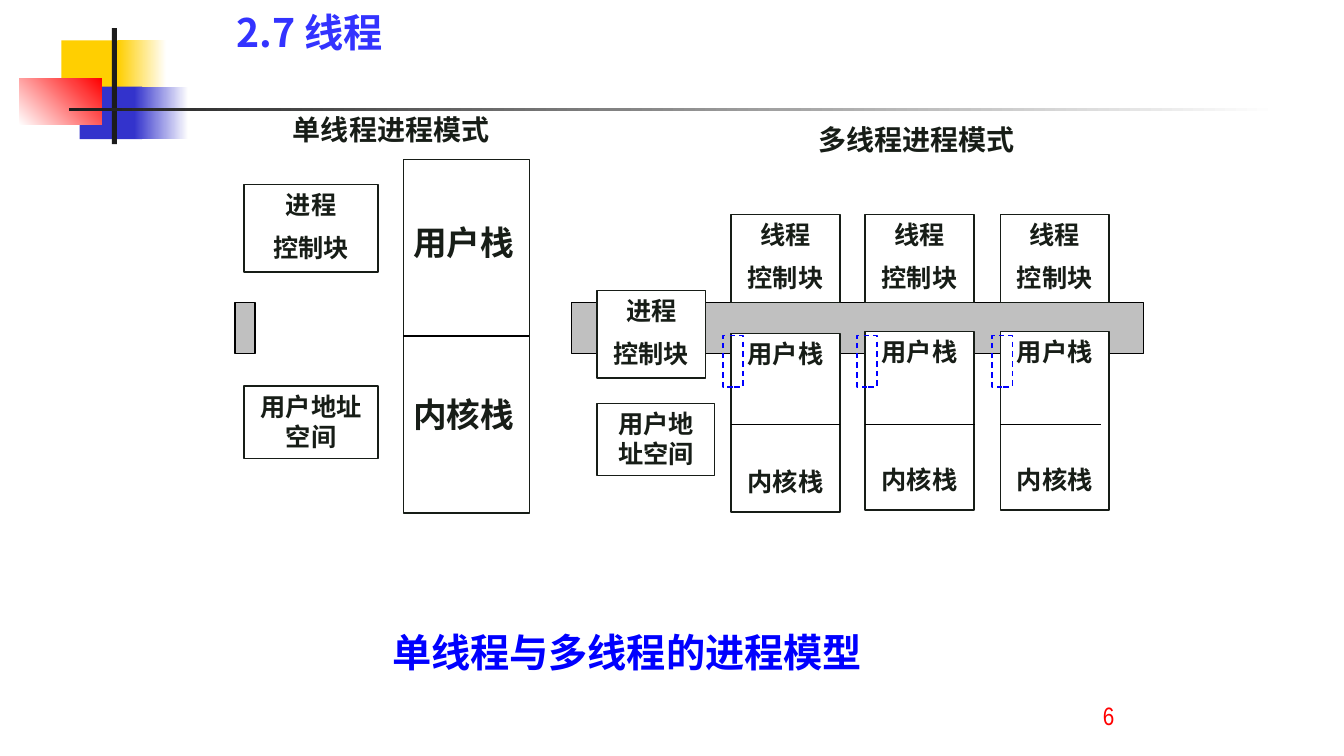
from pptx import Presentation
from pptx.dml.color import RGBColor
from pptx.enum.dml import MSO_LINE
from pptx.enum.shapes import MSO_CONNECTOR as CONNECTOR, MSO_SHAPE as SHAPE
from pptx.enum.text import MSO_ANCHOR as ANCHOR, PP_ALIGN as ALIGN
from pptx.oxml.ns import qn
from pptx.util import Inches, Pt

WHITE = RGBColor(0xFF, 0xFF, 0xFF)
BLACK = RGBColor(0x00, 0x00, 0x00)
INK = RGBColor(0x17, 0x1D, 0x17)
CHARCOAL = RGBColor(0x1C, 0x1C, 0x1C)
GRAY = RGBColor(0xC0, 0xC0, 0xC0)
YELLOW = RGBColor(0xFF, 0xCF, 0x01)
INDIGO = RGBColor(0x33, 0x33, 0xCC)
RED = RGBColor(0xFF, 0x00, 0x00)
BLUE = RGBColor(0x00, 0x00, 0xFF)
TITLE_BLUE = RGBColor(0x33, 0x33, 0xFF)

BODY_FONT = "Arial Narrow"
HEADING_FONT = "Noto Sans CJK SC"
THREAD_LEFTS = (7.25, 8.58, 9.92)
STACK_TOPS = (3.31, 3.29, 3.29)
DIVIDER_ENDS = (8.33, 9.67, 10.92)


def write_text(shape, text, size=18, font=BODY_FONT, color=INK, bold=True,
               align=ALIGN.CENTER, anchor=ANCHOR.TOP, gap=9, inset=0.05, wrap=True):
    """Fill a shape with one paragraph per line of text."""
    frame = shape.text_frame
    frame.word_wrap = wrap
    frame.vertical_anchor = anchor
    frame.margin_top = Inches(inset)
    for index, line in enumerate(text.split("\n")):
        paragraph = frame.add_paragraph() if index else frame.paragraphs[0]
        paragraph.alignment = align
        if index:
            paragraph.space_before = Pt(gap)
        run = paragraph.add_run()
        run.text = line
        run.font.size = Pt(size)
        run.font.name = font
        run.font.bold = bold
        run.font.color.rgb = color
        east_asian = run.font._element.makeelement(qn("a:ea"), {"typeface": font})
        run.font._element.append(east_asian)


def add_text(slide, left, top, width, height, text, **text_format):
    """Add a text box with formatted text."""
    box = slide.shapes.add_textbox(Inches(left), Inches(top), Inches(width), Inches(height))
    write_text(box, text, **text_format)


def add_box(slide, left, top, width, height, fill=None, line=None, dashed=False):
    """Add a rectangle with an optional fill and outline."""
    box = slide.shapes.add_shape(SHAPE.RECTANGLE, Inches(left), Inches(top),
                                 Inches(width), Inches(height))
    box.shadow.inherit = False
    if fill is None:
        box.fill.background()
    else:
        box.fill.solid()
        box.fill.fore_color.rgb = fill
    if line is None:
        box.line.fill.background()
    else:
        box.line.color.rgb = line
        box.line.width = Pt(1)
        if dashed:
            box.line.dash_style = MSO_LINE.DASH
    return box


def add_gradient(slide, left, top, width, height, start, end, angle=0):
    """Add a rectangle that fades from one colour to another."""
    box = add_box(slide, left, top, width, height)
    box.fill.gradient()
    box.fill.gradient_angle = angle
    for stop, color in zip(box.fill.gradient_stops, (start, end)):
        stop.color.rgb = color


def add_block(slide, left, top, width, height, text, **text_format):
    """Add a white outlined block with a label."""
    box = add_box(slide, left, top, width, height, WHITE, INK)
    write_text(box, text, **text_format)
    return box


def add_divider(slide, left, right, height):
    """Add a horizontal line across a stack."""
    line = slide.shapes.add_connector(CONNECTOR.STRAIGHT, Inches(left), Inches(height),
                                      Inches(right), Inches(height))
    line.line.color.rgb = BLACK
    line.line.width = Pt(1)
    properties = line._element.spPr
    properties.append(properties.makeelement(qn("a:effectLst"), {}))
    return line


def add_decoration(slide):
    """Draw the coloured squares and rules of the header."""
    add_box(slide, 0.61, 0.4, 0.64, 0.52, YELLOW)
    add_gradient(slide, 1.17, 0.4, 0.48, 0.52, YELLOW, WHITE)
    add_box(slide, 0.79, 0.86, 0.62, 0.52, INDIGO)
    add_gradient(slide, 1.33, 0.86, 0.54, 0.52, INDIGO, WHITE)
    add_gradient(slide, 0.19, 0.78, 0.82, 0.46, WHITE, RED, angle=45)
    add_box(slide, 1.11, 0.28, 0.05, 1.15, CHARCOAL)
    add_gradient(slide, 0.68, 1.07, 12, 0.03, CHARCOAL, WHITE)


def add_single_thread_model(slide):
    """Draw the process with one thread."""
    add_box(slide, 2.33, 3, 0.2, 0.51, GRAY, BLACK)
    add_block(slide, 2.42, 1.83, 1.33, 0.87, "进程\n控制块")
    add_block(slide, 2.42, 3.83, 1.33, 0.72, "用户地址空间")
    stack = add_block(slide, 4, 1.58, 1.25, 3.51, "用户栈\n内核栈", size=24,
                      align=ALIGN.LEFT, gap=94, inset=0.62)
    divider = add_divider(slide, 4, 5.25, 3.33)
    divider.begin_connect(stack, 1)
    divider.end_connect(stack, 3)
    add_text(slide, 2.8, 1.07, 2.16, 0.43, "单线程进程模式", size=20,
             anchor=ANCHOR.MIDDLE, wrap=False)


def add_multi_thread_model(slide):
    """Draw the process with three threads."""
    add_box(slide, 5.67, 3, 5.67, 0.51, GRAY, BLACK)
    add_block(slide, 5.92, 2.88, 1.08, 0.87, "进程\n控制块")
    add_block(slide, 5.92, 4, 1.17, 0.72, "用户地址空间")
    for left, top, divider_end in zip(THREAD_LEFTS, STACK_TOPS, DIVIDER_ENDS):
        add_block(slide, left, top, 1.08, 1.77, "用户栈\n内核栈", gap=70)
        add_divider(slide, left, divider_end, 4.21)
        add_block(slide, left, 2.13, 1.08, 0.87, "线程\n控制块")
        add_box(slide, left - 0.08, 3.33, 0.2, 0.51, line=BLUE, dashed=True)
    add_text(slide, 8.01, 1.17, 2.16, 0.43, "多线程进程模式", size=20,
             anchor=ANCHOR.MIDDLE, wrap=False)


def main():
    """Build the slide and save it."""
    presentation = Presentation()
    presentation.slide_width = Inches(13.33)
    presentation.slide_height = Inches(7.5)
    slide = presentation.slides.add_slide(presentation.slide_layouts[6])
    add_decoration(slide)
    add_text(slide, 3.79, 6.18, 6.5, 0.57, "单线程与多线程的进程模型", size=28,
             font=HEADING_FONT, color=BLUE, align=ALIGN.LEFT)
    add_single_thread_model(slide)
    add_multi_thread_model(slide)
    add_text(slide, 2.25, 0.03, 5.68, 0.57, "2.7 线程", size=28,
             font=HEADING_FONT, color=TITLE_BLUE, align=ALIGN.LEFT)
    add_text(slide, 10.84, 6.9, 0.63, 0.39, "6", color=RED, bold=False, align=ALIGN.LEFT)
    presentation.save("out.pptx")


if __name__ == "__main__":
    main()
